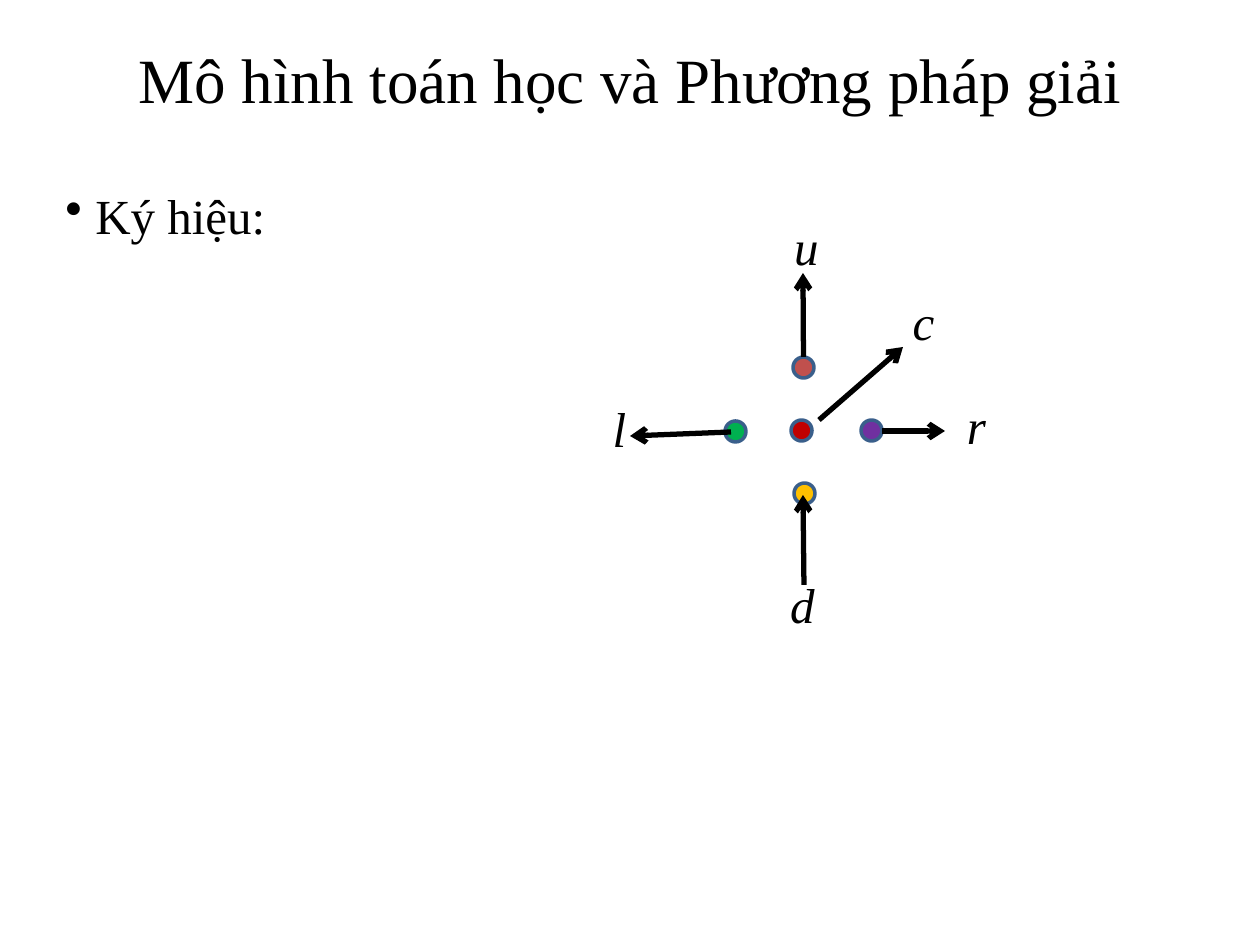
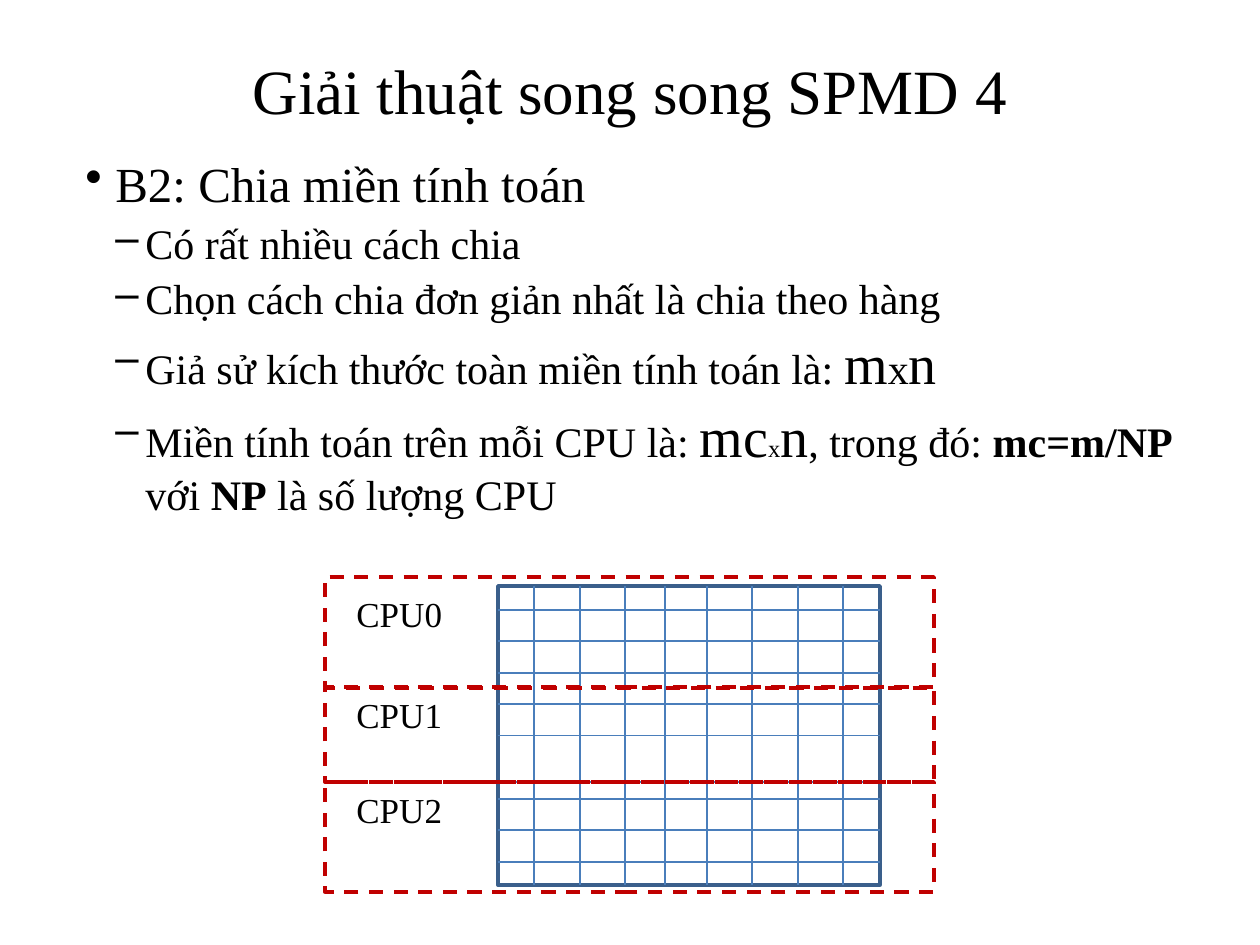
import dataclasses

import pptx
import pptx.dml.color
import pptx.enum.dml
import pptx.enum.shapes
import pptx.enum.text
import pptx.oxml
import pptx.util


@dataclasses.dataclass(frozen=True)
class Theme:
    font: str = "Times New Roman"
    ink: str = "000000"
    outline: str = "3A5F8B"
    grid: str = "4A7EBB"
    band: str = "C00000"
    title: int = 36
    body: int = 28
    sub: int = 24
    cpu: int = 20
    formula: int = 32
    small: int = 14


theme = Theme()
EMU_PER_PX = 914400 / 126
RECT = pptx.enum.shapes.MSO_SHAPE.RECTANGLE
OVAL = pptx.enum.shapes.MSO_SHAPE.OVAL
STRAIGHT = pptx.enum.shapes.MSO_CONNECTOR.STRAIGHT
CENTER = pptx.enum.text.PP_ALIGN.CENTER
MIDDLE = pptx.enum.text.MSO_ANCHOR.MIDDLE
rgb = pptx.dml.color.RGBColor.from_string


def px(*lengths):
    return [round(length * EMU_PER_PX) for length in lengths]


def put_text(slide, text, box, size, align=None, anchor=None, italic=None,
             bullet=None, level=0, space=0, frame=None):
    """Write text, or a list of (text, size, bold) runs, as one paragraph."""
    if frame is None:
        frame = slide.shapes.add_textbox(*px(*box)).text_frame
        frame.word_wrap = True
        frame.vertical_anchor = anchor
        paragraph = frame.paragraphs[0]
    else:
        paragraph = frame.add_paragraph()
    paragraph.alignment = align
    paragraph.level = level
    paragraph.space_before = pptx.util.Pt(space)
    if bullet:
        indent = px(30)[0]
        properties = paragraph._p.get_or_add_pPr()
        properties.set("marL", str(indent * (level + 1)))
        properties.set("indent", str(-indent))
        mark = pptx.oxml.parse_xml(
            '<a:buChar xmlns:a="http://schemas.openxmlformats.org/drawingml/2006/main"'
            f' char="{bullet}"/>')
        properties.append(mark)
    runs = [(text, size, None)] if isinstance(text, str) else text
    for words, points, bold in runs:
        run = paragraph.add_run()
        run.text = words
        run.font.name = theme.font
        run.font.size = pptx.util.Pt(points)
        run.font.color.rgb = rgb(theme.ink)
        run.font.bold = bold
        run.font.italic = italic
    return frame


deck = pptx.Presentation()
deck.slide_width, deck.slide_height = px(1260, 945)
blank = deck.slide_layouts[6]
notation = deck.slides.add_slide(blank)
division = deck.slides.add_slide(blank)

# Titles
for slide, title, top in [
    (notation, "Mô hình toán học và Phương pháp giải", 10),
    (division, "Giải thuật song song SPMD 4", 21),
]:
    put_text(slide, title, (63, top, 1134, 136), theme.title,
             align=CENTER, anchor=MIDDLE)

# Notation: a point and its four neighbours
put_text(notation, "Ký hiệu:", (53, 179, 431, 525), theme.body,
         bullet="•", space=4)
dots = {}
for name, left, top, color in [
    ("u", 793, 357, "C0504D"),
    ("r", 861, 420, "7030A0"),
    ("d", 794, 483, "FFC000"),
    ("l", 725, 421, "00B050"),
    ("c", 791, 420, "C00000"),
]:
    dot = notation.shapes.add_shape(OVAL, *px(left, top, 21, 21))
    dot.shadow.inherit = False
    dot.fill.solid()
    dot.fill.fore_color.rgb = rgb(color)
    dot.line.color.rgb = rgb(theme.outline)
    dot.line.width = pptx.util.Pt(2)
    dots[name] = dot

for name, left, top in [("c", 892, 285), ("u", 775, 210), ("d", 771, 568),
                        ("r", 945, 389), ("l", 588, 392)]:
    put_text(notation, name, (left, top, 63, 72), theme.body,
             align=CENTER, italic=True)

# Arrows and grid lines are gathered first, then styled alike
arrows = [notation.shapes.add_connector(STRAIGHT, *px(*ends)) for ends in [
    (819, 420, 903, 347),
    (882, 431, 945, 431),
    (803, 357, 803, 273),
    (804, 585, 803, 495),
    (731, 432, 630, 436),
]]
arrows[2].begin_connect(dots["u"], 0)

# Division: the steps
steps = put_text(division, "B2: Chia miền tính toán", (73, 147, 1144, 756),
                 theme.body, bullet="•", space=4)
for step in [
    "Có rất nhiều cách chia",
    "Chọn cách chia đơn giản nhất là chia theo hàng",
    [("Giả sử kích thước toàn miền tính toán là: ", theme.sub, None),
     ("m", theme.formula, None), ("x", theme.sub, None),
     ("n", theme.formula, None)],
    [("Miền tính toán trên mỗi CPU là: ", theme.sub, None),
     ("mc", theme.formula, None), ("x", theme.small, None),
     ("n", theme.formula, None), (", trong đó: ", theme.sub, None),
     ("mc=m/NP", theme.sub, True), (" với ", theme.sub, None),
     ("NP", theme.sub, True), (" là số lượng CPU", theme.sub, None)],
]:
    put_text(division, step, None, theme.sub, bullet="–", level=1, space=3,
             frame=steps)

# Division: the computing domain
left, top, right, bottom = 498, 586, 880, 885
domain = division.shapes.add_shape(RECT, *px(left, top, right - left, bottom - top))
domain.shadow.inherit = False
domain.fill.background()
domain.line.color.rgb = rgb(theme.outline)
domain.line.width = pptx.util.Pt(2)

middle_row = 4
rows = [610 + row * 63 // 2 for row in range(9) if row != 5] + [782]
grid_lines = []
for index, y in enumerate(rows):
    row_line = division.shapes.add_connector(STRAIGHT, *px(left, y, right, y))
    if index == middle_row:
        row_line.begin_connect(domain, 1)
        row_line.end_connect(domain, 3)
    grid_lines.append(row_line)
for x in (534, 580, 625, 665, 707, 752, 798, 843):
    grid_lines.append(
        division.shapes.add_connector(STRAIGHT, *px(x, top, x, bottom)))

for lines, color, width in [(arrows, theme.ink, 3), (grid_lines, theme.grid, 0.75)]:
    for line in lines:
        line.line.color.rgb = rgb(color)
        line.line.width = pptx.util.Pt(width)
        properties = line._element.spPr
        properties.append(pptx.oxml.parse_xml(
            '<a:effectLst xmlns:a="http://schemas.openxmlformats.org/drawingml/2006/main"/>'))
        if lines is arrows:
            line.line._get_or_add_ln().append(pptx.oxml.parse_xml(
                '<a:tailEnd xmlns:a="http://schemas.openxmlformats.org/drawingml/2006/main"'
                ' type="arrow"/>'))

# Division: one dashed band per CPU
for cpu, (band_top, height, label_top) in enumerate(
        [(577, 110, 586), (688, 94, 687), (782, 110, 782)]):
    band = division.shapes.add_shape(RECT, *px(325, band_top, 609, height))
    band.shadow.inherit = False
    band.fill.background()
    band.line.color.rgb = rgb(theme.band)
    band.line.width = pptx.util.Pt(2)
    band.line.dash_style = pptx.enum.dml.MSO_LINE.SQUARE_DOT
    band.line.dash_style = pptx.enum.dml.MSO_LINE.DASH
    put_text(division, f"CPU{cpu}", (344, label_top, 127, 54), theme.cpu)

deck.save("out.pptx")
